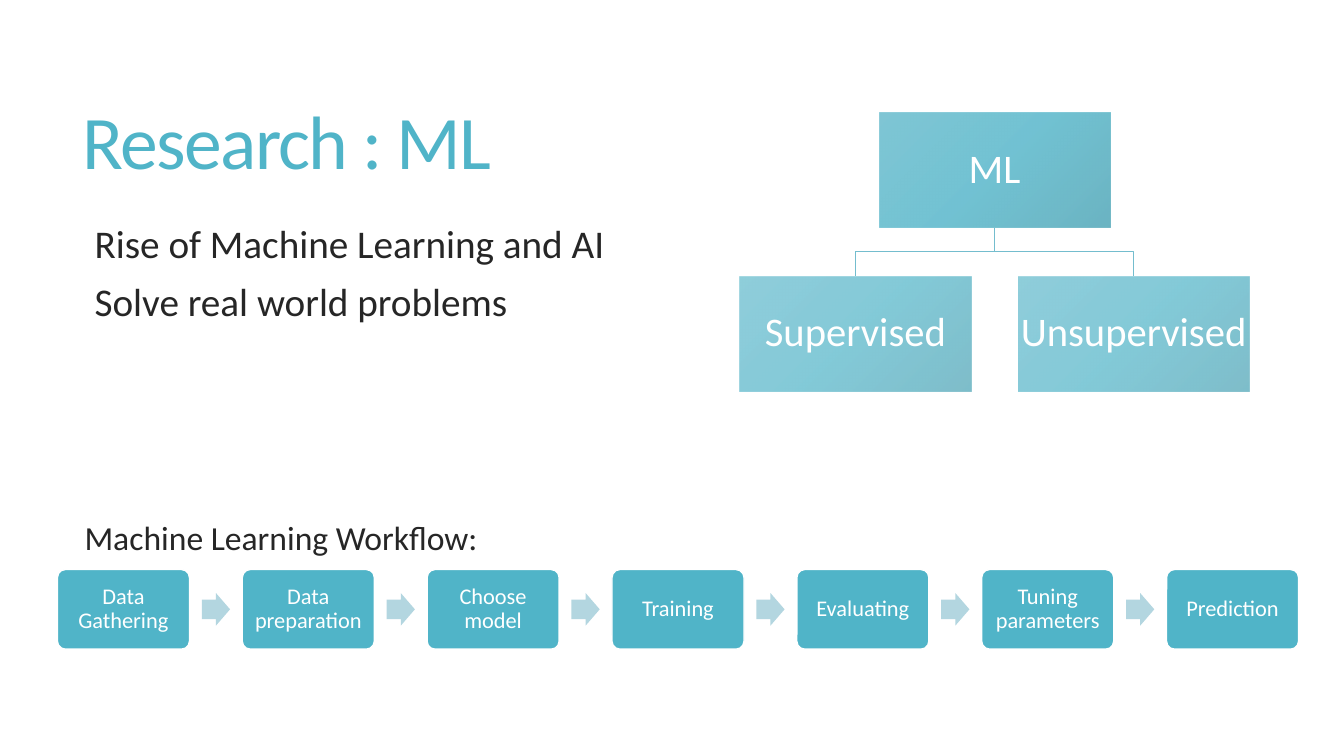
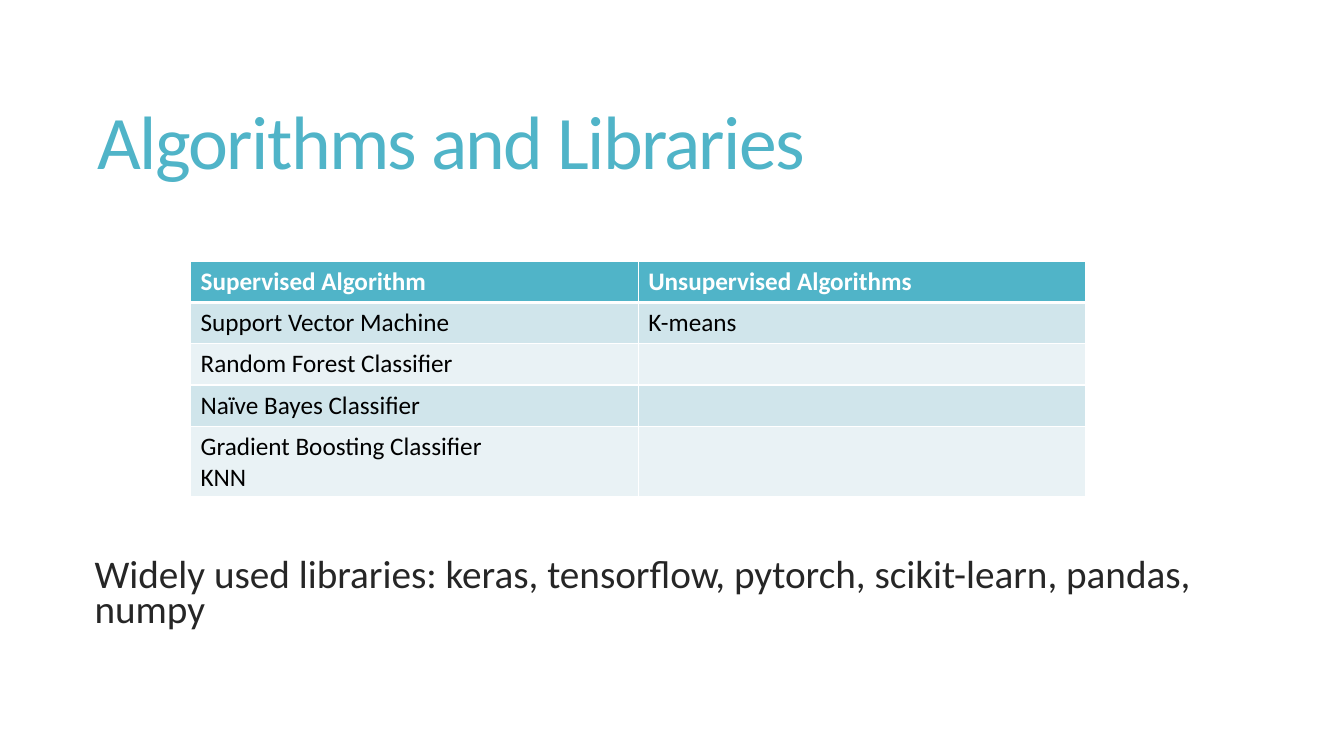
from collections import namedtuple
from lxml.etree import SubElement
from pptx import Presentation
from pptx.dml.color import RGBColor
from pptx.enum.shapes import MSO_SHAPE
from pptx.enum.text import MSO_ANCHOR, PP_ALIGN
from pptx.oxml.ns import qn
from pptx.util import Inches, Pt

COLORS = {
    "accent": "50B4C8",
    "accent_light": "61B9CB",
    "accent_dark": "48A2B4",
    "arrow": "B3D6E0",
    "branch": "74BDCE",
    "band_dark": "D0E5EB",
    "band_light": "E9F2F5",
    "body": "262626",
    "black": "000000",
    "white": "FFFFFF",
}
FONT = "Calibri"
Box = namedtuple("Box", "left top width height")

TITLE = Box(0.72, 0.55, 11.78, 1.81)
BODY = Box(0.84, 2.2, 11.66, 1.2)
TREE = Box(7.34, 1.12, 5.05, 2.76)
WORKFLOW_LABEL = Box(0.74, 5.14, 11.76, 0.45)
WORKFLOW = Box(0.57, 5.65, 12.31, 0.79)
TABLE = Box(1.89, 2.59, 8.88, 2.32)
LIBRARIES = Box(0.84, 5.51, 11.66, 0.9)


def color(name):
    return RGBColor.from_string(COLORS[name])


def inches(box):
    return [Inches(length) for length in box]


def write(frame, lines, size, ink, bold=False, align=PP_ALIGN.LEFT,
          line_spacing=1.0, space_before=0, tracking=0):
    frame.word_wrap = True
    for index, line in enumerate(lines):
        paragraph = frame.paragraphs[0] if index == 0 else frame.add_paragraph()
        paragraph.alignment = align
        paragraph.line_spacing = line_spacing
        paragraph.space_before = Pt(space_before)
        run = paragraph.add_run()
        run.text = line
        run.font.name = FONT
        run.font.size = Pt(size)
        run.font.bold = bold
        run.font.color.rgb = color(ink)
        if tracking:
            run.font._element.set("spc", str(round(tracking * 100)))


def add_text(slide, box, lines, size, ink="body", anchor=MSO_ANCHOR.TOP, **style):
    frame = slide.shapes.add_textbox(*inches(box)).text_frame
    frame.vertical_anchor = anchor
    write(frame, lines, size, ink, **style)


def add_title(slide, text, indent=0):
    box = TITLE._replace(left=TITLE.left + indent)
    add_text(slide, box, [text], 54, "accent", MSO_ANCHOR.MIDDLE,
             line_spacing=0.85, tracking=-1.2)


def add_block(slide, preset, box, fill):
    shape = slide.shapes.add_shape(preset, *inches(box))
    shape.shadow.inherit = False
    shape.fill.solid()
    shape.fill.fore_color.rgb = color(fill)
    shape.line.fill.background()
    return shape


def label_block(shape, text, size, inset):
    frame = shape.text_frame
    frame.margin_left = frame.margin_right = Inches(inset)
    frame.margin_top = frame.margin_bottom = Inches(inset)
    frame.vertical_anchor = MSO_ANCHOR.MIDDLE
    write(frame, [text], size, "white", align=PP_ALIGN.CENTER, line_spacing=0.9)


def shade(shape, opacity):
    shape.fill.gradient()
    gradient = shape._element.spPr.find(qn("a:gradFill"))
    for child in list(gradient):
        gradient.remove(child)
    stops = SubElement(gradient, qn("a:gsLst"))
    for position, name in ((0, "accent_light"), (50, "accent"), (100, "accent_dark")):
        stop = SubElement(stops, qn("a:gs"), pos=str(position * 1000))
        ink = SubElement(stop, qn("a:srgbClr"), val=COLORS[name])
        SubElement(ink, qn("a:alpha"), val=str(opacity * 1000))
    SubElement(gradient, qn("a:lin"), ang=str(45 * 60000), scaled="0")


def add_tree(slide, box, root, children):
    node_width, node_height = box.width * 0.4535, box.height * 0.413
    step = (box.width - node_width) / (len(children) - 1)
    center = box.left + box.width / 2
    root_bottom = box.top + node_height
    child_top = box.top + box.height - node_height
    middle = (root_bottom + child_top) / 2
    nodes = [(root, center - node_width / 2, box.top, 80)]
    for index, child in enumerate(children):
        left = box.left + index * step
        nodes.append((child, left, child_top, 70))
        end = left + node_width / 2
        points = [(Inches(x), Inches(y)) for x, y in (
            (center, root_bottom), (center, middle), (end, middle), (end, child_top))]
        builder = slide.shapes.build_freeform(*points[0])
        builder.add_line_segments(points[1:], close=False)
        branch = builder.convert_to_shape()
        branch.shadow.inherit = False
        branch.fill.background()
        branch.line.color.rgb = color("branch")
        branch.line.width = Pt(0.75)
    for text, left, top, opacity in nodes:
        node = add_block(slide, MSO_SHAPE.RECTANGLE,
                         Box(left, top, node_width, node_height), "accent")
        shade(node, opacity)
        label_block(node, text, 29, 0.02)


def add_workflow(slide, box, steps):
    pitch = box.width / (len(steps) - 2 / 7)
    step_width = pitch * 5 / 7
    arrow_width, arrow_height = 0.28, box.height * 0.41
    for index, text in enumerate(steps):
        left = box.left + index * pitch
        step = add_block(slide, MSO_SHAPE.ROUNDED_RECTANGLE,
                         Box(left, box.top, step_width, box.height), "accent")
        step.adjustments[0] = 0.1
        step.line.color.rgb = color("white")
        step.line.width = Pt(1)
        label_block(step, text, 16, 0.09)
        if index < len(steps) - 1:
            arrow_left = left + (pitch + step_width - arrow_width) / 2
            arrow_top = box.top + (box.height - arrow_height) / 2
            arrow = add_block(slide, MSO_SHAPE.RIGHT_ARROW,
                              Box(arrow_left, arrow_top, arrow_width, arrow_height), "arrow")
            arrow.adjustments[0] = 0.6


def add_borders(cell, top, bottom):
    properties = cell._tc.get_or_add_tcPr()
    widths = {"a:lnL": 1, "a:lnR": 1, "a:lnT": top, "a:lnB": bottom}
    for index, (tag, width) in enumerate(widths.items()):
        border = SubElement(properties, qn(tag), w=str(Pt(width)))
        fill = SubElement(border, qn("a:solidFill"))
        SubElement(fill, qn("a:srgbClr"), val=COLORS["white"])
        properties.insert(index, border)


def add_algorithm_table(slide, box, rows):
    columns = len(rows[0])
    table = slide.shapes.add_table(len(rows), columns, *inches(box)).table
    row_height = 0.41
    for column in table.columns:
        column.width = Inches(box.width / columns)
    for index, values in enumerate(rows):
        last = index == len(rows) - 1
        height = box.height - index * row_height if last else row_height
        table.rows[index].height = Inches(height)
        header = index == 0
        fill = "accent" if header else "band_dark" if index % 2 else "band_light"
        for column, lines in enumerate(values):
            cell = table.cell(index, column)
            cell.fill.solid()
            cell.fill.fore_color.rgb = color(fill)
            add_borders(cell, 3 if index == 1 else 1, 3 if header else 1)
            write(cell.text_frame, lines, 18, "white" if header else "black", bold=header)


def build_research(slide):
    add_title(slide, "Research : ML")
    add_text(slide, BODY, ["Rise of Machine Learning and AI", "Solve real world problems"],
             28, line_spacing=0.85, space_before=13)
    add_text(slide, WORKFLOW_LABEL, ["Machine Learning Workflow:"], 24, line_spacing=0.85)
    add_workflow(slide, WORKFLOW, [
        "Data Gathering", "Data preparation", "Choose model", "Training",
        "Evaluating", "Tuning parameters", "Prediction"])
    add_tree(slide, TREE, "ML", ["Supervised", "Unsupervised"])


def build_algorithms(slide):
    add_title(slide, "Algorithms and Libraries", indent=0.15)
    add_text(slide, LIBRARIES, [
        "Widely used libraries: keras, tensorflow, pytorch, scikit-learn, pandas, numpy"],
        28, line_spacing=0.75)
    add_algorithm_table(slide, TABLE, [
        (["Supervised Algorithm"], ["Unsupervised Algorithms"]),
        (["Support Vector Machine"], ["K-means"]),
        (["Random Forest Classifier"], []),
        (["Naïve Bayes Classifier"], []),
        (["Gradient Boosting Classifier", "KNN"], []),
    ])


presentation = Presentation()
presentation.slide_width = Inches(13.33)
presentation.slide_height = Inches(7.5)
for build in (build_research, build_algorithms):
    build(presentation.slides.add_slide(presentation.slide_layouts[6]))
presentation.save("out.pptx")
